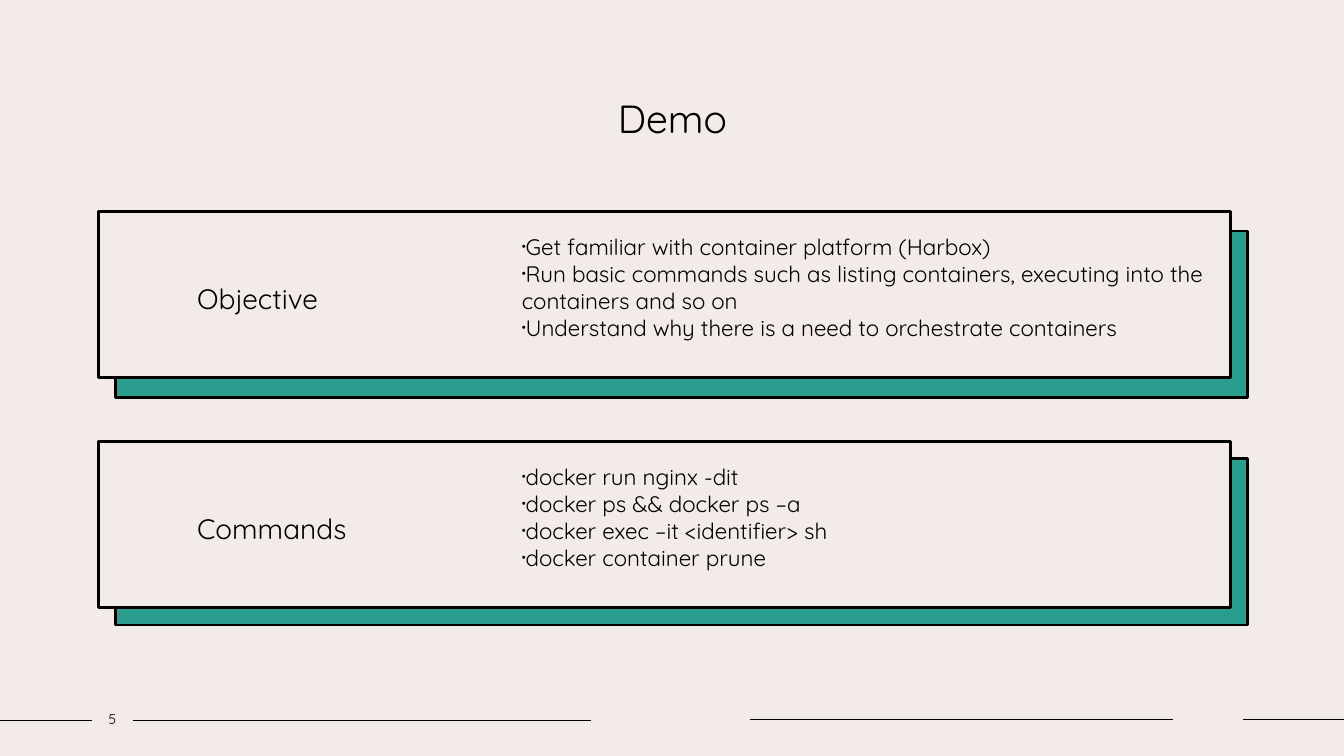
from lxml import etree
from pptx import Presentation
from pptx.dml.color import RGBColor
from pptx.enum.shapes import MSO_CONNECTOR, MSO_SHAPE
from pptx.enum.text import MSO_ANCHOR as ANCHOR, PP_ALIGN as ALIGN
from pptx.oxml.ns import qn
from pptx.util import Cm, Pt

BLACK = RGBColor(0x00, 0x00, 0x00)
TEAL = RGBColor(0x2A, 0x9D, 0x8F)
CREAM = RGBColor(0xF3, 0xEB, 0xE8)
FONT = "Quicksand"

PANEL_LEFT, PANEL_WIDTH, PANEL_HEIGHT = 2.49, 28.52, 4.19
PANELS = [
    # heading, top, drop of the teal backing, points
    ("Objective", 5.33, 0.49, [
        "Get familiar with container platform (Harbox)",
        "Run basic commands such as listing containers, executing into the "
        "containers and so on",
        "Understand why there is a need to orchestrate containers",
    ]),
    ("Commands", 11.13, 0.43, [
        "docker run nginx -dit",
        "docker ps && docker ps –a",
        "docker exec –it <identifier> sh",
        "docker container prune",
    ]),
]
# left, right, height of each footer rule
FOOTER_RULES = [(0, 2.33, 18.16), (3.35, 14.9, 18.16),
                (18.9, 29.57, 18.13), (31.32, 33.87, 18.13)]


def add_bullet(p):
    pPr = p._p.get_or_add_pPr()
    pPr.set("marL", "0")
    pPr.set("indent", str(-Cm(0.38)))
    etree.SubElement(pPr, qn("a:buSzPct")).set("val", "50000")
    etree.SubElement(pPr, qn("a:buFont")).set("typeface", "Arial")
    etree.SubElement(pPr, qn("a:buChar")).set("char", "•")


def write(s, *lines, size, align=ALIGN.LEFT, anchor=ANCHOR.MIDDLE,
          spacing=None, bullets=False, left=0.25, right=0.25):
    """Fill a shape with one paragraph per line; insets are in cm."""
    tf = s.text_frame
    tf.word_wrap = True
    tf.vertical_anchor = anchor
    tf.margin_left, tf.margin_right = Cm(left), Cm(right)
    tf.margin_top = tf.margin_bottom = Cm(0.13)
    for i, line in enumerate(lines):
        p = tf.paragraphs[0] if i == 0 else tf.add_paragraph()
        if bullets:
            add_bullet(p)
        p.alignment = align
        if spacing:
            p.line_spacing = spacing
        r = p.add_run()
        r.text = line
        r.font.size = Pt(size)
        r.font.name = FONT
        r.font.color.rgb = BLACK


def add_text(slide, box, *lines, **fmt):
    write(slide.shapes.add_textbox(*map(Cm, box)), *lines, **fmt)


def add_box(slide, left, top, fill):
    s = slide.shapes.add_shape(MSO_SHAPE.RECTANGLE, Cm(left), Cm(top),
                               Cm(PANEL_WIDTH), Cm(PANEL_HEIGHT))
    s.shadow.inherit = False
    s.fill.solid()
    s.fill.fore_color.rgb = fill
    s.line.color.rgb = BLACK
    s.line.width = Pt(2)
    return s


def add_panel(slide, left, top, drop, heading, points):
    add_box(slide, left + 0.42, top + drop, TEAL)
    front = add_box(slide, left, top, CREAM)
    write(front, heading, size=20, spacing=1.2, left=2.48, right=18.03)
    add_text(slide, (left + 10.41, top + 0.06, 17.81, 3.68), *points,
             size=16, bullets=True)


def add_footer(slide, number):
    for left, right, y in FOOTER_RULES:
        rule = slide.shapes.add_connector(
            MSO_CONNECTOR.STRAIGHT, Cm(left), Cm(y), Cm(right), Cm(y))
        rule.line.color.rgb = BLACK
        rule.line.width = Pt(1)
        etree.SubElement(rule._element.spPr, qn("a:effectLst"))
    add_text(slide, (2.33, 17.78, 1.01, 0.69), number, size=10,
             align=ALIGN.CENTER, left=0, right=0)


def main():
    prs = Presentation()
    prs.slide_width, prs.slide_height = Cm(33.87), Cm(19.05)
    slide = prs.slides.add_slide(prs.slide_layouts[6])
    slide.background.fill.solid()
    slide.background.fill.fore_color.rgb = CREAM

    add_text(slide, (3.18, 2.24, 27.53, 2.82), "Demo", size=28,
             align=ALIGN.CENTER, anchor=ANCHOR.TOP)
    for heading, top, drop, points in PANELS:
        add_panel(slide, PANEL_LEFT, top, drop, heading, points)
    add_footer(slide, "5")
    prs.save("out.pptx")


if __name__ == "__main__":
    main()
